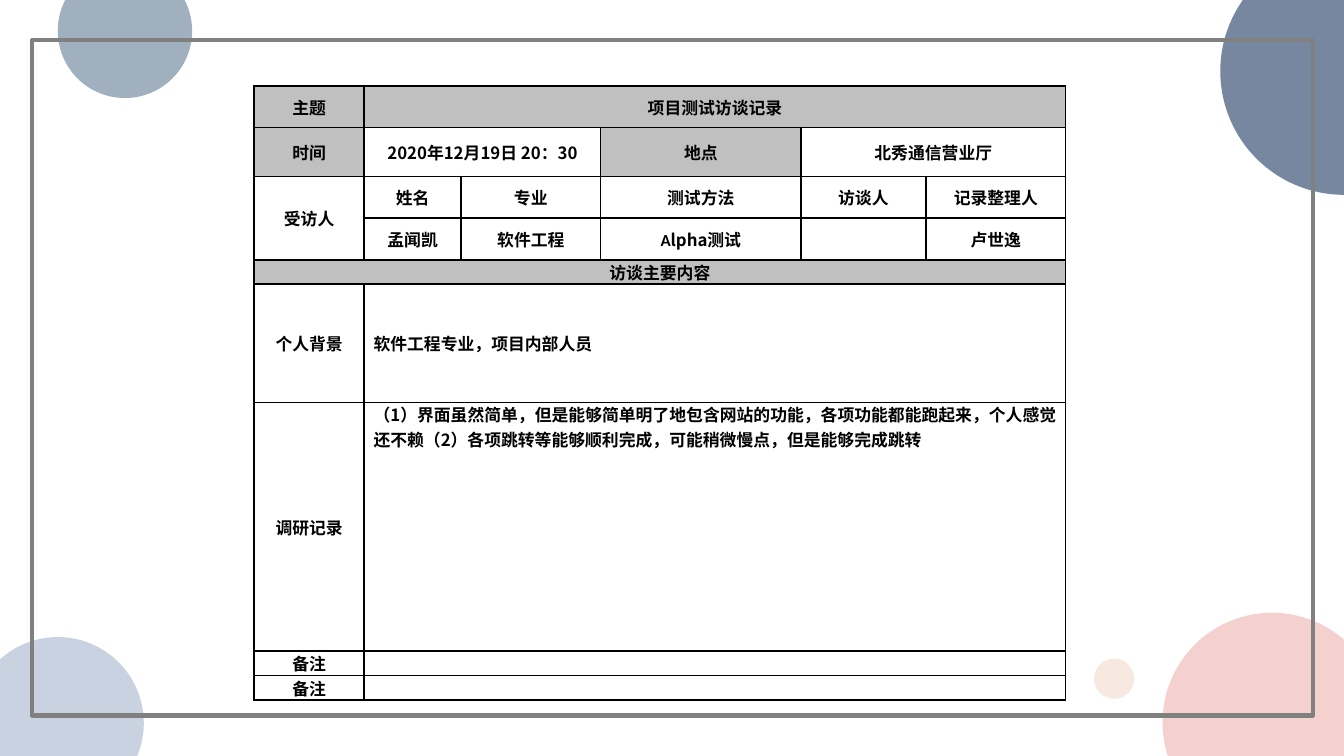
from lxml.etree import SubElement
from pptx import Presentation
from pptx.dml.color import RGBColor
from pptx.enum.shapes import MSO_SHAPE as Shape
from pptx.enum.text import MSO_ANCHOR as Anchor, PP_ALIGN as Align
from pptx.oxml.ns import qn
from pptx.util import Inches, Pt

COLORS = {
    "navy": "7787A0", "pink": "F4D1CF", "slate": "A0B0BF", "mist": "C9D2E1",
    "cream": "F7E9E0", "frame": "808080", "label": "C0C0C0", "ink": "000000",
}
FONT = "Noto Sans CJK SC"
SLIDE_WIDTH = 10
SLIDE_HEIGHT = SLIDE_WIDTH * 9 / 16
CIRCLES = [
    (9.08, -0.39, 1.84, "navy"),
    (8.65, 4.56, 1.63, "pink"),
    (0.43, -0.27, 1, "slate"),
    (-0.21, 4.74, 1.28, "mist"),
    (8.14, 4.9, 0.3, "cream"),
]
COLUMN_WIDTHS = [0.82, 0.72, 1.04, 1.49, 0.93, 1.04]
ROW_HEIGHTS = [0.31, 0.31, 0.31, 0.31, 0, 0.88, 1.85, 0, 0]
MERGES = [
    (0, 1, 0, 5), (1, 1, 1, 2), (1, 4, 1, 5), (2, 0, 3, 0), (4, 0, 4, 5),
    (5, 1, 5, 5), (6, 1, 6, 5), (7, 1, 7, 5), (8, 1, 8, 5),
]
SHADED = {(0, 0), (0, 1), (1, 0), (1, 3), (4, 0)}
LEFT_ALIGNED = {(5, 1), (6, 1)}
TOP_ANCHORED = {(6, 1)}
LATIN_LEADS = {(3, 3): "A"}
RECORD = [
    ["主题", "项目测试访谈记录"],
    ["时间", "2020年12月19日 20：30", "", "地点", "北秀通信营业厅"],
    ["受访人", "姓名", "专业", "测试方法", "访谈人", "记录整理人"],
    ["", "孟闻凯", "软件工程", "lpha测试", "", "卢世逸"],
    ["访谈主要内容"],
    ["个人背景", "软件工程专业，项目内部人员"],
    ["调研记录", "（1）界面虽然简单，但是能够简单明了地包含网站的功能，各项功能都能跑起来，"
     "个人感觉还不赖（2）各项跳转等能够顺利完成，可能稍微慢点，但是能够完成跳转"],
    ["备注"],
    ["备注"],
]


def rgb(name):
    """Return the named palette colour."""
    return RGBColor.from_string(COLORS[name])


def write_text(cell, text, size=9, font=FONT, color="ink", bold=True,
               align=Align.CENTER, anchor=Anchor.MIDDLE):
    """Append formatted text to a cell, keeping an empty cell at the same size."""
    cell.margin_left = cell.margin_right = Inches(0.07)
    cell.margin_top = cell.margin_bottom = 0
    cell.vertical_anchor = anchor
    paragraph = cell.text_frame.paragraphs[0]
    paragraph.alignment = align
    if not text:
        SubElement(paragraph._p, qn("a:endParaRPr"), sz=str(size * 100))
        return
    run = paragraph.add_run()
    run.text = text
    run.font.size = Pt(size)
    run.font.bold = bold
    run.font.color.rgb = rgb(color)
    run.font.name = font
    SubElement(run.font._element, qn("a:ea"), typeface=FONT)


def draw_borders(cell, color="ink", width=1):
    """Draw a solid line on all four sides of a cell."""
    properties = cell._tc.get_or_add_tcPr()
    for side in ("lnL", "lnR", "lnT", "lnB"):
        line = SubElement(properties, qn(f"a:{side}"), w=str(Pt(width)))
        fill = SubElement(line, qn("a:solidFill"))
        SubElement(fill, qn("a:srgbClr"), val=COLORS[color])


def add_backdrop(slide, left, top, width, height):
    """Place the corner circles and the frame in the given box."""
    for x, y, diameter, color in CIRCLES:
        circle = slide.shapes.add_shape(
            Shape.OVAL, Inches(left + x), Inches(top + y),
            Inches(diameter), Inches(diameter))
        circle.shadow.inherit = False
        circle.fill.solid()
        circle.fill.fore_color.rgb = rgb(color)
        circle.line.fill.background()
    frame = slide.shapes.add_shape(
        Shape.RECTANGLE, Inches(left + 0.24), Inches(top + 0.3),
        Inches(width - 0.47), Inches(height - 0.6))
    frame.shadow.inherit = False
    frame.fill.background()
    frame.line.color.rgb = rgb("frame")
    frame.line.width = Pt(2.25)


def add_record(slide, left, top, width, height):
    """Place the interview record table in the given box."""
    holder = slide.shapes.add_table(
        len(ROW_HEIGHTS), len(COLUMN_WIDTHS), Inches(left), Inches(top),
        Inches(width), Inches(height))
    record = holder.table
    record.first_row = record.horz_banding = False
    for column, column_width in zip(record.columns, COLUMN_WIDTHS):
        column.width = Inches(column_width)
    for row, row_height in zip(record.rows, ROW_HEIGHTS):
        row.height = Inches(row_height)
    holder.height = Inches(height)
    for first_row, first_col, last_row, last_col in MERGES:
        record.cell(first_row, first_col).merge(record.cell(last_row, last_col))
    for r, entries in enumerate(RECORD):
        for c in range(len(COLUMN_WIDTHS)):
            cell, place = record.cell(r, c), (r, c)
            if place in LATIN_LEADS:
                write_text(cell, LATIN_LEADS[place], font="Calibri")
            write_text(
                cell, entries[c] if c < len(entries) else "",
                align=Align.LEFT if place in LEFT_ALIGNED else Align.CENTER,
                anchor=Anchor.TOP if place in TOP_ANCHORED else Anchor.MIDDLE)
            draw_borders(cell)
            if place in SHADED:
                cell.fill.solid()
                cell.fill.fore_color.rgb = rgb("label")
            else:
                cell.fill.background()


def main():
    """Build and save the interview record slide."""
    deck = Presentation()
    deck.slide_width, deck.slide_height = Inches(SLIDE_WIDTH), Inches(SLIDE_HEIGHT)
    slide = deck.slides.add_slide(deck.slide_layouts[6])
    add_backdrop(slide, 0, 0, SLIDE_WIDTH, SLIDE_HEIGHT)
    add_record(slide, 1.89, 0.64, 6.04, 4.39)
    deck.save("out.pptx")


if __name__ == "__main__":
    main()
